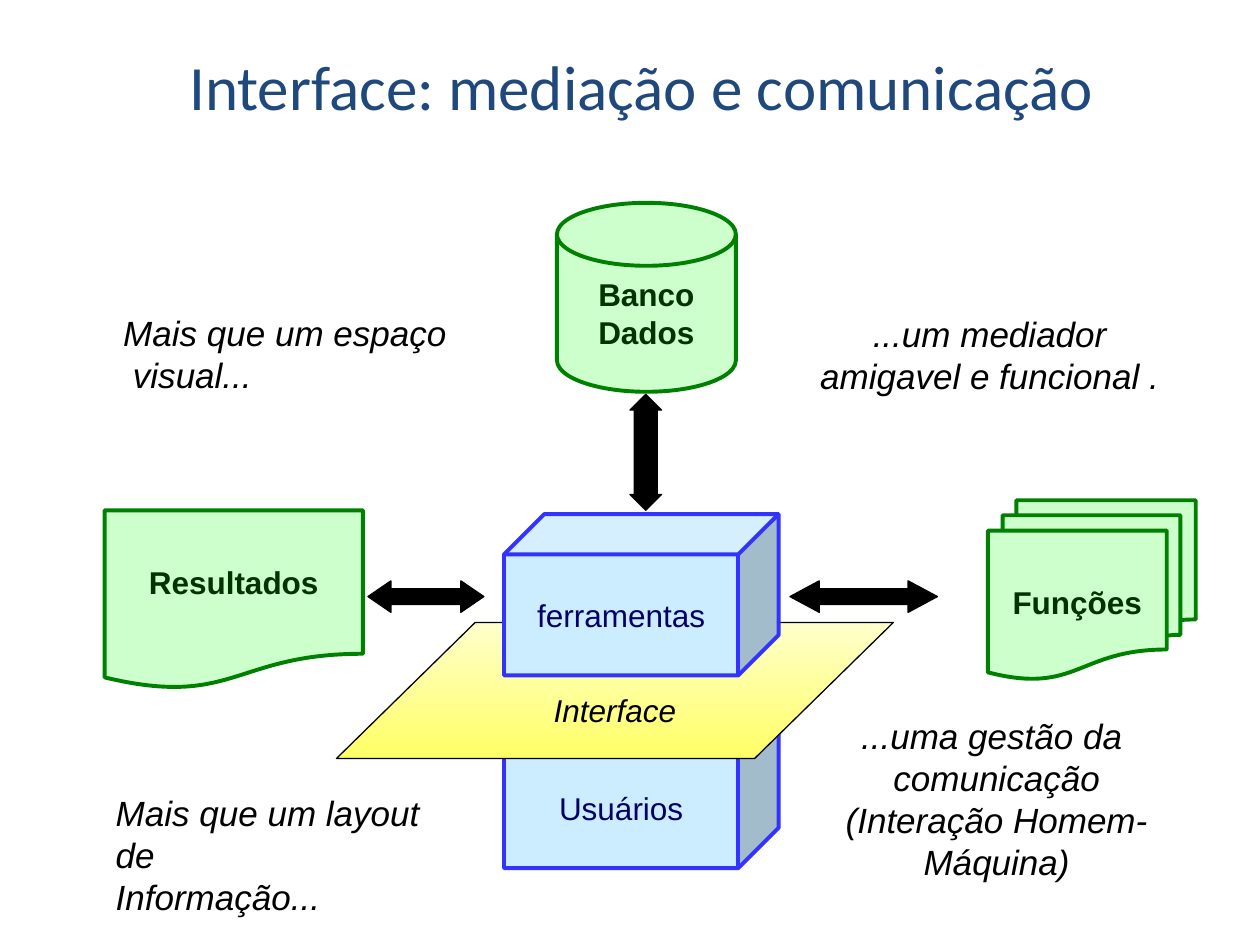
"""Build the slide on the interface as mediation and communication."""
from dataclasses import dataclass

from pptx import Presentation
from pptx import util as u
from pptx.dml.color import RGBColor
from pptx.enum import shapes, text

SHAPE = shapes.MSO_SHAPE
CENTER = text.PP_ALIGN.CENTER
LEFT = text.PP_ALIGN.LEFT


@dataclass(frozen=True)
class Style:
    """Fill, outline and text look of one family of shapes."""
    fill: str
    line: str
    width: float
    ink: str = "000000"
    bold: bool = False
    italic: bool = False


class Theme:
    """Colours, fonts and type sizes of the slide."""
    title_font, body_font = "Calibri", "Arial"
    title_size, label_size, note_size = 36, 18, 20
    title_ink, note_ink = "1F497D", "000000"
    plane_gradient = ("FFFFCC", "FFFF66")
    store = Style("CCFFCC", "008000", 2.25, "003300", bold=True)
    box = Style("CCECFF", "3333FF", 2.25, "000066")
    plane = Style("FFFF66", "000000", 0.75, italic=True)
    arrow = Style("000000", "000000", 0.75)


def inches(place):
    """Turn left, top, width and height into lengths."""
    return [u.Inches(value) for value in place]


def write(frame, lines, font, size, ink, bold=False, italic=False, align=CENTER):
    """Write each line as a paragraph with one formatted run."""
    for index, line in enumerate(lines):
        paragraph = frame.paragraphs[0] if index == 0 else frame.add_paragraph()
        paragraph.alignment = align
        run = paragraph.add_run()
        run.text = line
        run.font.name, run.font.size = font, u.Pt(size)
        run.font.bold, run.font.italic = bold, italic
        run.font.color.rgb = RGBColor.from_string(ink)


def add_title(slide, place, title):
    """Place and format the title placeholder."""
    shape = slide.shapes.title
    shape.left, shape.top, shape.width, shape.height = inches(place)
    shape.text_frame.vertical_anchor = text.MSO_ANCHOR.MIDDLE
    write(shape.text_frame, [title], Theme.title_font, Theme.title_size, Theme.title_ink)


def add_figure(slide, kind, place, style, lines=(), adjustments=()):
    """Add a preset shape with its style and centred label."""
    shape = slide.shapes.add_shape(kind, *inches(place))
    shape.shadow.inherit = False
    for index, value in enumerate(adjustments):
        shape.adjustments[index] = value
    shape.fill.solid()
    shape.fill.fore_color.rgb = RGBColor.from_string(style.fill)
    shape.line.color.rgb = RGBColor.from_string(style.line)
    shape.line.width = u.Pt(style.width)
    frame = shape.text_frame
    frame.word_wrap = False
    frame.vertical_anchor = text.MSO_ANCHOR.MIDDLE
    write(frame, lines, Theme.body_font, Theme.label_size, style.ink, style.bold, style.italic)
    return shape


def add_plane(slide, place, label):
    """Add the gradient interface plane with its label below the middle."""
    shape = add_figure(slide, SHAPE.PARALLELOGRAM, place, Theme.plane, [label], [1.02])
    shape.fill.gradient()
    shape.fill.gradient_angle = 270
    for stop, colour, position in zip(shape.fill.gradient_stops, Theme.plane_gradient, (0, 1)):
        stop.color.rgb = RGBColor.from_string(colour)
        stop.position = position
    shape.text_frame.margin_top = u.Inches(0.35)


def add_note(slide, place, lines, align=CENTER, wrap=True, right_inset=0.1):
    """Add an italic remark."""
    frame = slide.shapes.add_textbox(*inches(place)).text_frame
    frame.word_wrap = wrap
    frame.auto_size = text.MSO_AUTO_SIZE.SHAPE_TO_FIT_TEXT
    frame.margin_right = u.Inches(right_inset)
    write(frame, lines, Theme.body_font, Theme.note_size, Theme.note_ink,
          italic=True, align=align)


def main():
    """Build and save the slide."""
    presentation = Presentation()
    presentation.slide_width, presentation.slide_height = u.Inches(10), u.Inches(7.5)
    slide = presentation.slides.add_slide(presentation.slide_layouts[5])

    add_title(slide, (0.59, 0.05, 9, 1.25), "Interface: mediação e comunicação")

    add_figure(slide, SHAPE.CUBE, (4, 5.61, 2.18, 1.28), Theme.box, ["Usuários"], [0.25])
    add_plane(slide, (2.67, 4.94, 4.42, 1.08), "Interface")
    add_figure(slide, SHAPE.CUBE, (4, 4.08, 2.18, 1.28), Theme.box, ["ferramentas"], [0.25])

    for kind, place, lines in (
        (SHAPE.FLOWCHART_MAGNETIC_DISK, (4.42, 1.61, 1.42, 1.5), ["Banco", "Dados"]),
        (SHAPE.FLOWCHART_MULTIDOCUMENT, (7.84, 3.97, 1.65, 1.42), ["Funções"]),
        (SHAPE.FLOWCHART_DOCUMENT, (0.83, 4.05, 2.05, 1.42), ["Resultados"]),
    ):
        add_figure(slide, kind, place, Theme.store, lines)

    for kind, place, head in (
        (SHAPE.UP_DOWN_ARROW, (5, 3.13, 0.25, 0.92), 0.73),
        (SHAPE.LEFT_RIGHT_ARROW, (6.27, 4.61, 1.17, 0.25), 0.93),
        (SHAPE.LEFT_RIGHT_ARROW, (2.92, 4.61, 0.92, 0.25), 0.73),
    ):
        add_figure(slide, kind, place, Theme.arrow, adjustments=(0.5, head))

    add_note(slide, (0.88, 2.42, 2.77, 0.77), ["Mais que um espaço", " visual..."],
             LEFT, wrap=False)
    add_note(slide, (6.26, 2.43, 3.19, 0.77), ["...um mediador", "amigavel e funcional ."])
    add_note(slide, (0.82, 6.23, 3, 0.77), ["Mais que um layout de", "Informação..."],
             LEFT, right_inset=0.3)
    add_note(slide, (6.57, 5.62, 2.68, 1.43),
             ["...uma gestão da ", "comunicação", "(Interação Homem-Máquina)"])

    presentation.save("out.pptx")


if __name__ == "__main__":
    main()
